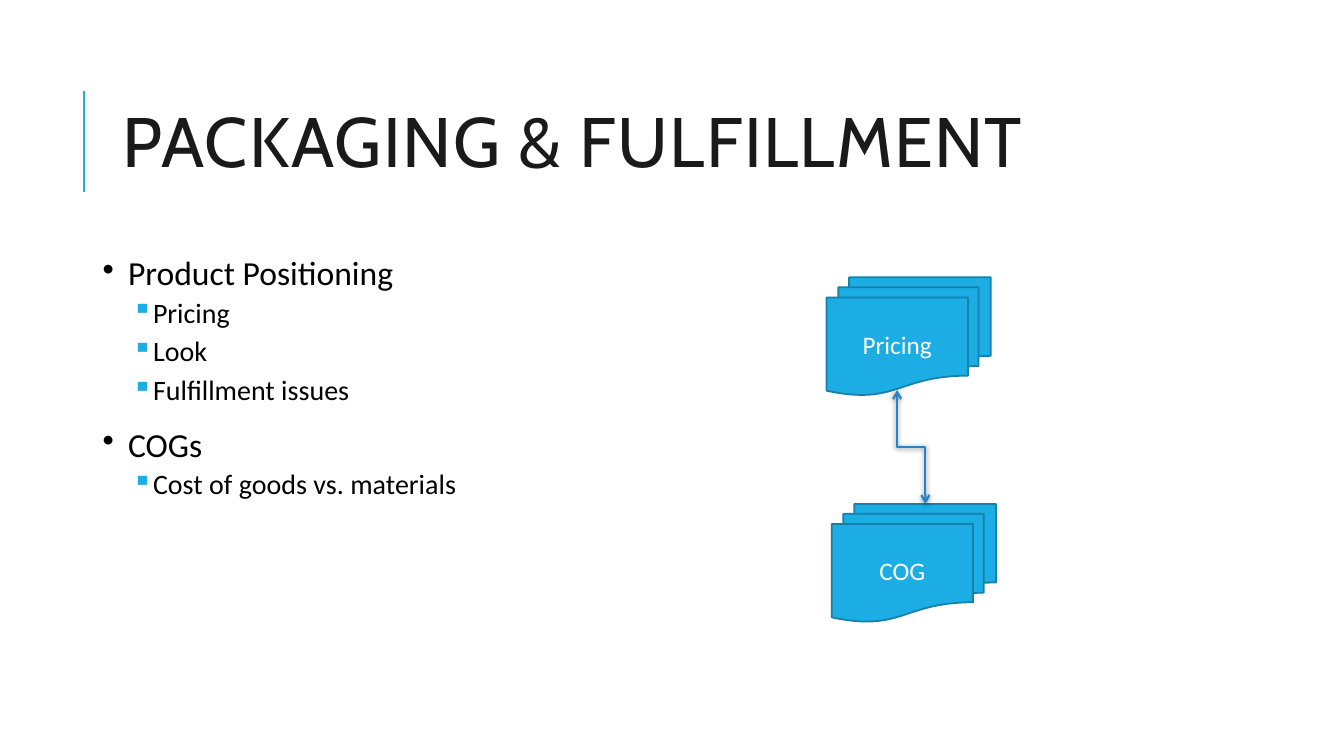
from lxml import etree
from pptx import Presentation
from pptx.dml.color import RGBColor
from pptx.enum.shapes import MSO_CONNECTOR as Connector, MSO_SHAPE as Shape
from pptx.enum.text import MSO_ANCHOR as Anchor, PP_ALIGN as Align
from pptx.oxml.ns import qn
from pptx.util import Cm, Pt

COLORS = {
    "title": "1A1A1A", "body": "000000", "accent": "1CADE4",
    "outline": "1580A9", "arrow": "2683C6", "label": "FFFFFF", "shadow": "000000",
}


def color(name):
    return RGBColor.from_string(COLORS[name])


def write(paragraph, text, size, ink, font="Calibri", spacing=1.0, before=0, after=0,
          align=Align.LEFT):
    paragraph.alignment = align
    paragraph.line_spacing = spacing
    paragraph.space_before, paragraph.space_after = Pt(before), Pt(after)
    run = paragraph.add_run()
    run.text = text
    run.font.name, run.font.size = font, Pt(size)
    run.font.color.rgb = color(ink)
    return run


presentation = Presentation()
presentation.slide_width, presentation.slide_height = Cm(33.87), Cm(19.05)
slide = presentation.slides.add_slide(presentation.slide_layouts[6])
shapes = slide.shapes

# Title with its accent rule
rule = shapes.add_connector(Connector.STRAIGHT, Cm(2.11), Cm(4.83), Cm(2.11), Cm(2.29))
rule.line.color.rgb = color("accent")
rule.line.width = Pt(1.5)
etree.SubElement(rule._element.spPr, qn("a:effectLst"))

title = shapes.add_textbox(Cm(2.84), Cm(1.63), Cm(27), Cm(4.17)).text_frame
title.word_wrap = True
title.vertical_anchor = Anchor.MIDDLE
title_run = write(title.paragraphs[0], "PACKAGING & FULFILLMENT", 50, "title",
                  font="Cabin", spacing=0.8)
title_run.font._element.set("spc", "100")

# Bulleted list
topics = [
    (0, "Product Positioning"),
    (1, "Pricing"),
    (1, "Look"),
    (1, "Fulfillment issues"),
    (0, "COGs"),
    (1, "Cost of goods vs. materials"),
]
levels = [
    dict(size=24, before=12, after=2),
    dict(size=20, before=2, after=4),
]
bullets = [("•", "body", 0.64, 0.64), ("▪", "accent", 1.12, 0.38)]

body = shapes.add_textbox(Cm(2.34), Cm(6.35), Cm(13.54), Cm(11.18)).text_frame
body.word_wrap = True
for index, (level, text) in enumerate(topics):
    paragraph = body.add_paragraph() if index else body.paragraphs[0]
    paragraph.level = level
    write(paragraph, text, ink="body", spacing=0.9, **levels[level])
    symbol, ink, margin, hanging = bullets[level]
    properties = paragraph._p.get_or_add_pPr()
    properties.set("marL", str(Cm(margin)))
    properties.set("indent", str(-Cm(hanging)))
    bullet_color = etree.SubElement(properties, qn("a:buClr"))
    etree.SubElement(bullet_color, qn("a:srgbClr"), val=COLORS[ink])
    etree.SubElement(properties, qn("a:buChar"), char=symbol)

# Document stacks
for text, left, top in [("COG", 20.96, 12.7), ("Pricing", 20.83, 6.99)]:
    stack = shapes.add_shape(Shape.FLOWCHART_MULTIDOCUMENT,
                             Cm(left), Cm(top), Cm(4.14), Cm(2.97))
    stack.shadow.inherit = False
    stack.fill.solid()
    stack.fill.fore_color.rgb = color("accent")
    stack.line.color.rgb = color("outline")
    stack.line.width = Pt(1.25)
    stack.text_frame.vertical_anchor = Anchor.MIDDLE
    write(stack.text_frame.paragraphs[0], text, 18, "label", align=Align.CENTER)

# Elbow arrow between the stacks: laid out flat, then turned a quarter
start_x, start_y, end_x, end_y = 22.61, 9.83, 23.32, 12.7
middle_x, middle_y = (start_x + end_x) / 2, (start_y + end_y) / 2
half_run, half_step = (end_y - start_y) / 2, (end_x - start_x) / 2
arrow = shapes.add_connector(
    Connector.ELBOW,
    Cm(middle_x - half_run), Cm(middle_y + half_step),
    Cm(middle_x + half_run), Cm(middle_y - half_step))
arrow._element.spPr.find(qn("a:xfrm")).set("rot", str(90 * 60000))
arrow.line.color.rgb = color("arrow")
arrow.line.width = Pt(1.5)
for end in ("a:headEnd", "a:tailEnd"):
    etree.SubElement(arrow.line._get_or_add_ln(), qn(end), type="arrow")
effects = etree.SubElement(arrow._element.spPr, qn("a:effectLst"))
shadow = etree.SubElement(effects, qn("a:outerShdw"), blurRad=str(Pt(4)),
                          dist=str(Pt(1)), dir=str(90 * 60000), rotWithShape="0")
shadow_color = etree.SubElement(shadow, qn("a:srgbClr"), val=COLORS["shadow"])
etree.SubElement(shadow_color, qn("a:alpha"), val="50000")

presentation.save("out.pptx")
